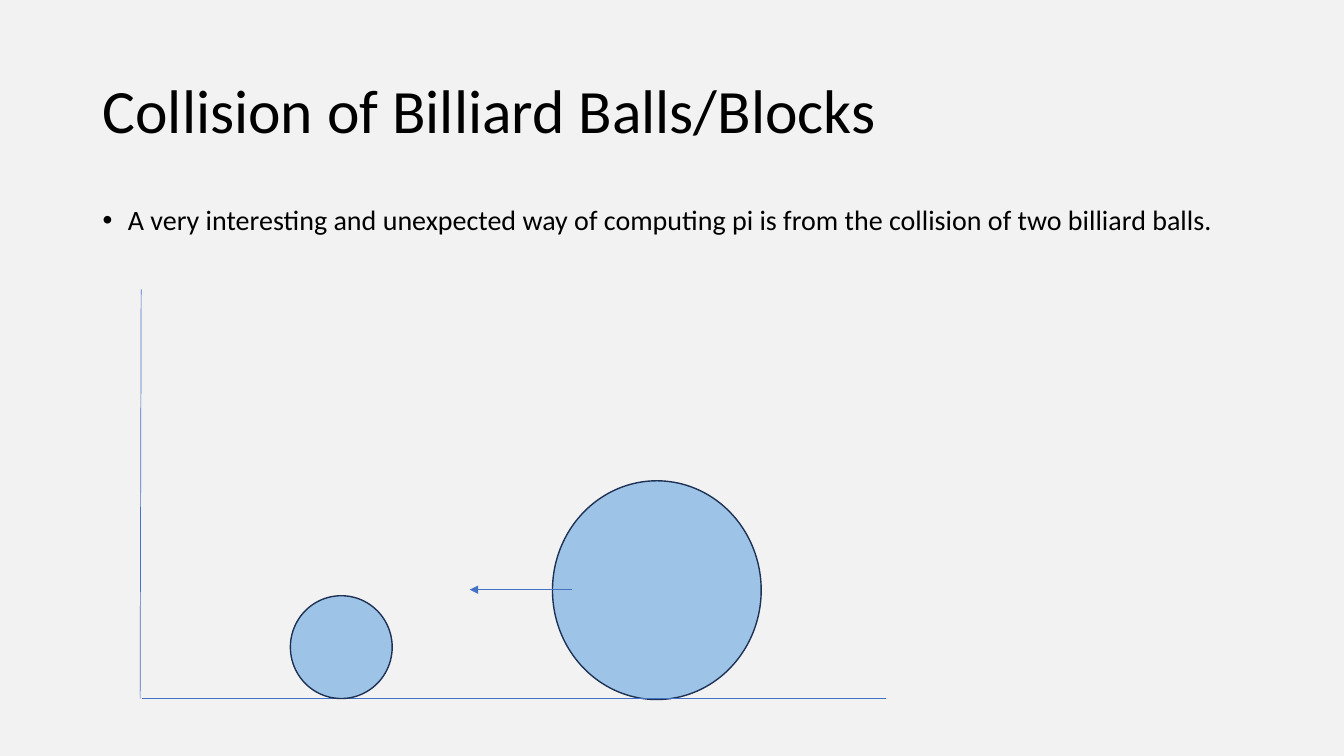
from dataclasses import dataclass

from lxml import etree
from pptx import Presentation
from pptx import util as u
from pptx.dml.color import RGBColor
from pptx.enum import shapes, text
from pptx.oxml.ns import qn

COLORS = {"back": "F2F2F2", "ink": "000000", "line": "4472C4",
          "ball": "9DC3E6", "rim": "1E3256"}


@dataclass
class Label:
    words: str
    top: float
    height: float
    size: int
    anchor: text.MSO_ANCHOR
    bullet: bool = False


@dataclass
class Ball:
    left: float
    top: float
    width: float
    height: float


@dataclass
class Line:
    x1: float
    y1: float
    x2: float
    y2: float
    arrow: bool = False


def color(name: str) -> RGBColor:
    return RGBColor.from_string(COLORS[name])


def add_label(slide, label: Label) -> None:
    box = slide.shapes.add_textbox(u.Inches(0.92), u.Inches(label.top),
                                   u.Inches(11.5), u.Inches(label.height))
    frame = box.text_frame
    frame.word_wrap = True
    frame.vertical_anchor = label.anchor
    para = frame.paragraphs[0]
    para.text = label.words
    if label.bullet:
        props = para._p.get_or_add_pPr()
        props.set("marL", str(u.Inches(0.25)))
        props.set("indent", str(u.Inches(-0.25)))
        etree.SubElement(props, qn("a:buFont"), typeface="Arial")
        etree.SubElement(props, qn("a:buChar"), char="•")
    para.line_spacing = 0.9
    para.font.name = "Calibri"
    para.font.size = u.Pt(label.size)
    para.font.color.rgb = color("ink")


def add_ball(slide, ball: Ball) -> None:
    shape = slide.shapes.add_shape(
        shapes.MSO_SHAPE.OVAL, u.Inches(ball.left), u.Inches(ball.top),
        u.Inches(ball.width), u.Inches(ball.height))
    shape.shadow.inherit = False
    shape.fill.solid()
    shape.fill.fore_color.rgb = color("ball")
    shape.line.color.rgb = color("rim")
    shape.line.width = u.Pt(1)


def add_line(slide, line: Line) -> None:
    link = slide.shapes.add_connector(
        shapes.MSO_CONNECTOR.STRAIGHT, u.Inches(line.x1), u.Inches(line.y1),
        u.Inches(line.x2), u.Inches(line.y2))
    link.line.color.rgb = color("line")
    link.line.width = u.Pt(0.5)
    if line.arrow:
        etree.SubElement(link.line._get_or_add_ln(), qn("a:tailEnd"), type="triangle")
    etree.SubElement(link._element.spPr, qn("a:effectLst"))


LABELS = [
    Label("Collision of Billiard Balls/Blocks", 0.4, 1.45, 44, text.MSO_ANCHOR.MIDDLE),
    Label("A very interesting and unexpected way of computing pi is from "
          "the collision of two billiard balls.",
          2, 0.51, 20, text.MSO_ANCHOR.TOP, bullet=True),
]

FLOOR = 6.93
# Back to front: wall, large ball, floor, small ball, direction of travel
SCENE = [
    Line(1.39, FLOOR, 1.4, 2.87),
    Ball(5.48, 4.77, 2.07, 2.17),
    Line(1.41, FLOOR, 8.79, FLOOR),
    Ball(2.88, 5.91, 1.01, 1.02),
    Line(5.67, 5.85, 4.66, 5.85, arrow=True),
]


def main() -> None:
    deck = Presentation()
    deck.slide_width, deck.slide_height = u.Inches(13.33), u.Inches(7.5)
    slide = deck.slides.add_slide(deck.slide_layouts[6])
    slide.background.fill.solid()
    slide.background.fill.fore_color.rgb = color("back")

    # Title and statement
    for label in LABELS:
        add_label(slide, label)

    # Collision diagram
    for part in SCENE:
        if isinstance(part, Ball):
            add_ball(slide, part)
        else:
            add_line(slide, part)

    deck.save("out.pptx")


if __name__ == "__main__":
    main()
